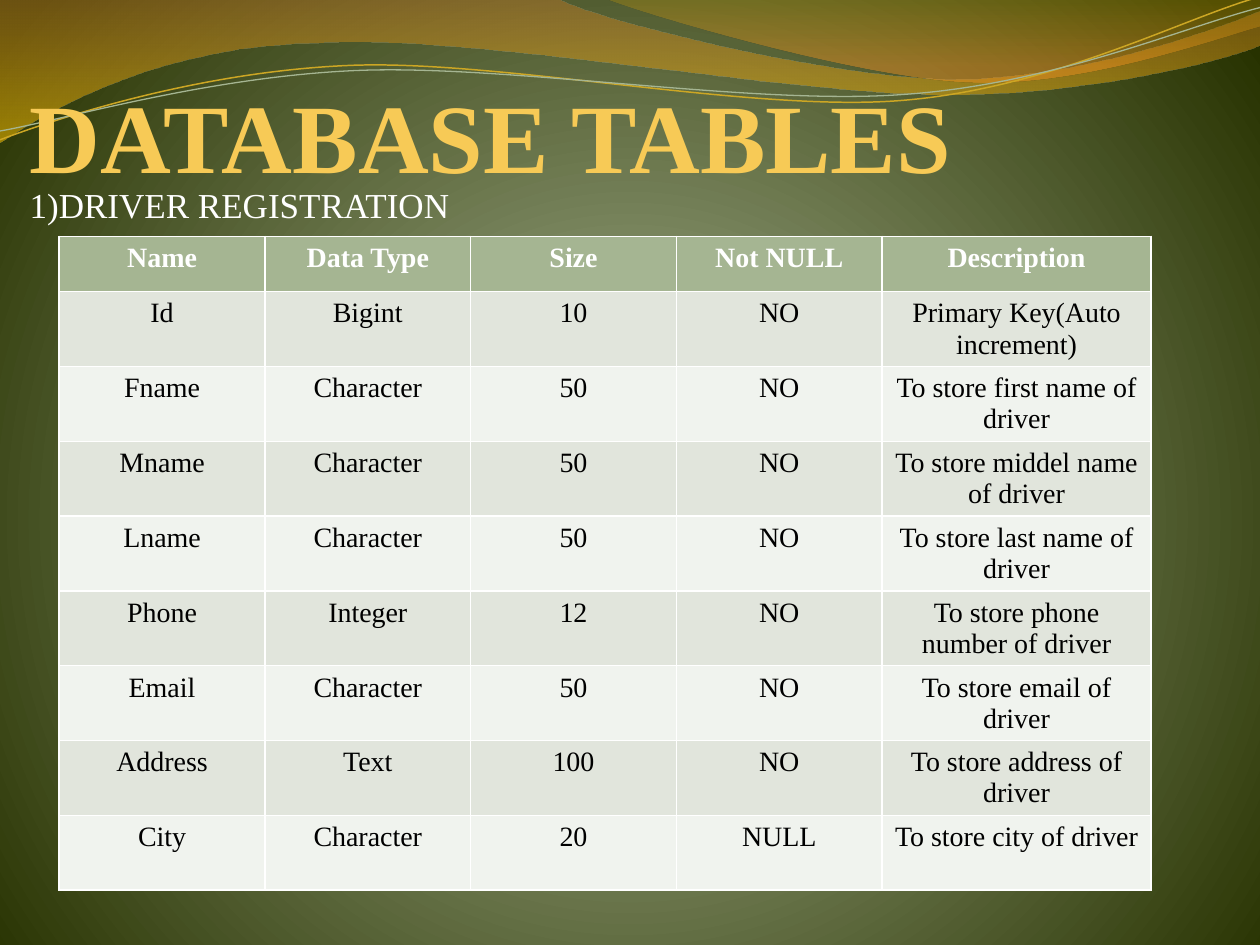
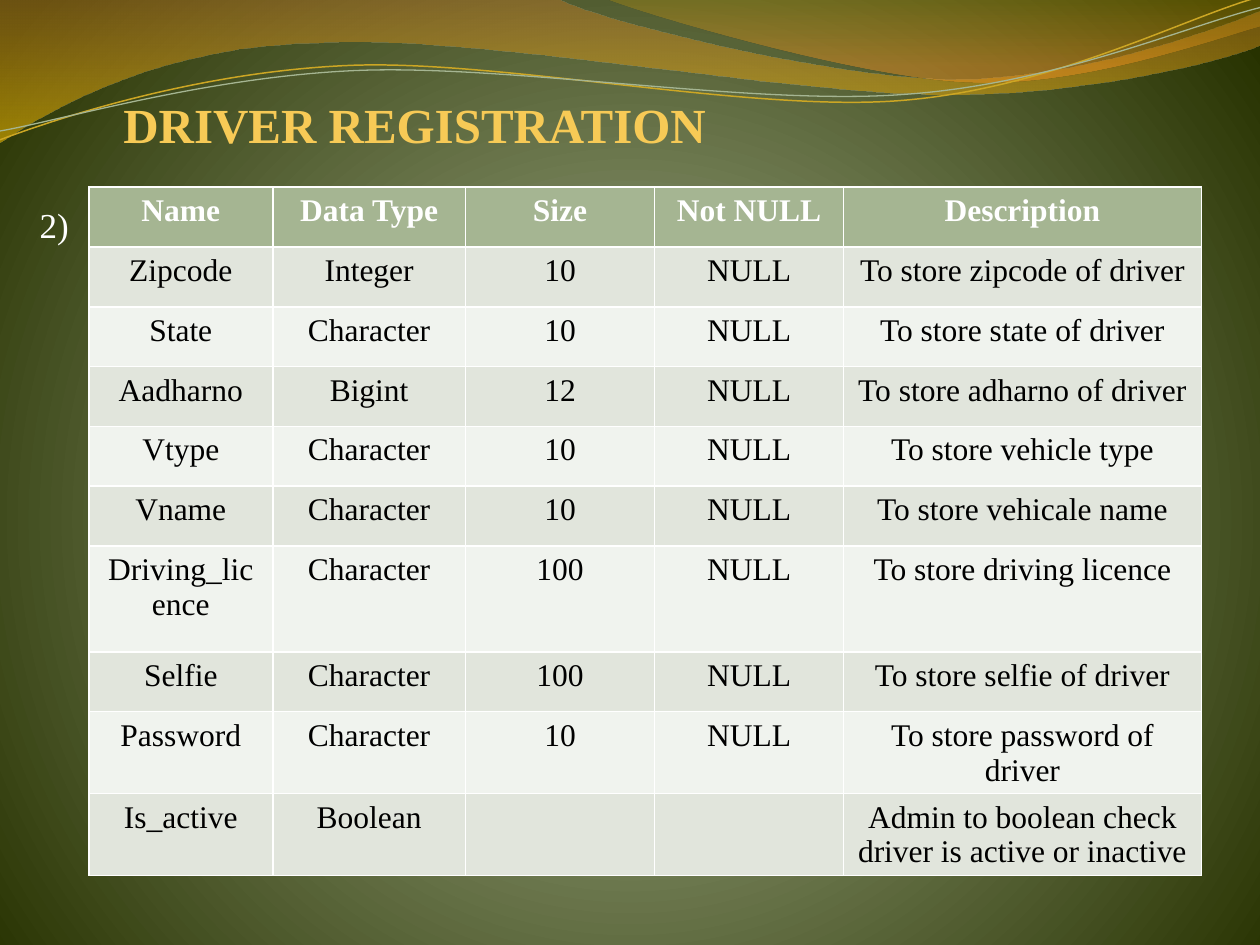
import lxml.etree
import pptx
import pptx.dml.color
import pptx.enum.text
import pptx.oxml
import pptx.oxml.ns
import pptx.util

# Shared look; every length is counted in cells of a 100 x 75 grid
GRID_COLS, GRID_ROWS = 100, 75
CELL = pptx.util.Inches(0.1)
FONT = "Times New Roman"
COLORS = {
    "title": "F7CA56", "white": "FFFFFF", "black": "000000",
    "header": "A5B592", "odd": "E1E5DC", "even": "F0F3EE",
    "gold_line": "CCA624", "sage_line": "A5B592",
}
BACKGROUND = [(0, "8F9B72", 100), (25, "86926C", 100), (100, "273200", 100)]
CIRCLE = ('<a:path path="circle"><a:fillToRect l="10000" t="110000" '
          'r="10000" b="100000"/></a:path>')
DOWNWARD = '<a:lin ang="5400000" scaled="0"/>'

# Waves: a start point, then lines (2 numbers) and Bezier curves (6 numbers)
BANDS = [
    ([(0, 0), (44.4, 0),
      (47.6, 1.7, 66.4, 6.3, 75.8, 6.3), (85.3, 6.3, 95.8, 2.6, 100, 0.9),
      (100, 3.6),
      (98.3, 4.4, 87, 7.6, 74.6, 7.5), (62.2, 7.5, 38.2, 2.8, 25.7, 3.4),
      (12.9, 3.6, 4.6, 8.3, 0, 11.3)],
     [(0, "C07A28", 45), (100, "F7BF00", 55)]),
    ([(48.2, 0),
      (50.9, 1.1, 68.2, 6.2, 76.9, 6.5), (85.6, 6.9, 96.1, 3.2, 100, 2.1),
      (100, 0)],
     [(0, "C09709", 30), (80, "F59320", 45)]),
]
STRANDS = [
    ([(0, 11.1), (4.8, 9.3, 15.8, 5.7, 27.7, 5.2),
      (39.5, 4.7, 59.3, 8.9, 71.3, 8), (83.3, 7.1, 93.8, 1.5, 99.8, -0.2)],
     "gold_line", 0.85),
    ([(0, 10.4), (4.7, 9.6, 16.4, 6.1, 28.3, 5.6),
      (40.3, 5.1, 59.7, 8.4, 71.7, 7.5), (83.6, 6.7, 94.1, 2.1, 100, 0.6)],
     "sage_line", 0.75),
]

# Table contents
HEADER = ("Name", "Data Type", "Size", "Not NULL", "Description")
DRIVER_FIELDS = [
    ("Id", "Bigint", "10", "NO", "Primary Key(Auto increment)"),
    ("Fname", "Character", "50", "NO", "To store first name of driver"),
    ("Mname", "Character", "50", "NO", "To store middel name of driver"),
    ("Lname", "Character", "50", "NO", "To store last name of driver"),
    ("Phone", "Integer", "12", "NO", "To store phone number of driver"),
    ("Email", "Character", "50", "NO", "To store email of driver"),
    ("Address", "Text", "100", "NO", "To store address of driver"),
    ("City", "Character", "20", "NULL", "To store city of driver"),
]
MORE_DRIVER_FIELDS = [
    ("Zipcode", "Integer", "10", "NULL", "To store zipcode of driver"),
    ("State", "Character", "10", "NULL", "To store state of driver"),
    ("Aadharno", "Bigint", "12", "NULL", "To store adharno of driver"),
    ("Vtype", "Character", "10", "NULL", "To store vehicle type"),
    ("Vname", "Character", "10", "NULL", "To store vehicale name"),
    ("Driving_licence", "Character", "100", "NULL", "To store driving licence"),
    ("Selfie", "Character", "100", "NULL", "To store selfie of driver"),
    ("Password", "Character", "10", "NULL", "To store password of driver"),
    ("Is_active", "Boolean", "", "",
     "Admin to boolean check driver is active or inactive"),
]


def grid(*cells):
    return [pptx.util.Emu(round(n * CELL)) for n in cells]


def rgb(name):
    return pptx.dml.color.RGBColor.from_string(COLORS[name])


def set_gradient(fill, parent, stops, direction):
    """Give parent a gradient whose stops are (position, colour, opacity)."""
    fill.gradient()
    stop_xml = "".join(
        f'<a:gs pos="{pos * 1000}"><a:srgbClr val="{color}">'
        f'<a:alpha val="{opacity * 1000}"/></a:srgbClr></a:gs>'
        for pos, color, opacity in stops)
    old = parent.find(pptx.oxml.ns.qn("a:gradFill"))
    new = pptx.oxml.parse_xml(
        f'<a:gradFill {pptx.oxml.ns.nsdecls("a")} rotWithShape="1">'
        f'<a:gsLst>{stop_xml}</a:gsLst>{direction}</a:gradFill>')
    parent.replace(old, new)


def bend(sp, outline):
    """Replace the straight segments that should be Bezier curves."""
    qn = pptx.oxml.ns.qn
    segments = list(sp._element.iter(qn("a:lnTo")))
    for segment, part in zip(segments, outline[1:]):
        if len(part) == 2:
            continue
        curve = lxml.etree.Element(qn("a:cubicBezTo"))
        for x, y in zip(grid(*part[::2]), grid(*part[1::2])):
            lxml.etree.SubElement(curve, qn("a:pt"),
                                  x=str(x - sp.left), y=str(y - sp.top))
        segment.getparent().replace(segment, curve)


def add_wave(slide, outline, closed):
    points = [grid(*part[-2:]) for part in outline]
    builder = slide.shapes.build_freeform(*points[0])
    builder.add_line_segments(points[1:], close=closed)
    sp = builder.convert_to_shape()
    sp.shadow.inherit = False
    bend(sp, outline)
    return sp


def add_waves(slide):
    """Draw the waves and hand them to the layout that all slides share."""
    waves = []
    for outline, stops in BANDS:
        sp = add_wave(slide, outline, True)
        set_gradient(sp.fill, sp.fill._xPr, stops, DOWNWARD)
        sp.line.fill.background()
        waves.append(sp)
    for outline, color, width in STRANDS:
        sp = add_wave(slide, outline, False)
        sp.fill.background()
        sp.line.color.rgb = rgb(color)
        sp.line.width = pptx.util.Pt(width)
        waves.append(sp)
    tree = slide.slide_layout.shapes._spTree
    for ph in list(slide.slide_layout.placeholders):
        tree.remove(ph._element)
    for sp in waves:
        tree.append(sp._element)


def write(tf, text, size, color="black", bold=False, align="LEFT"):
    p = tf.paragraphs[0]
    p.alignment = getattr(pptx.enum.text.PP_ALIGN, align)
    if text:
        r = p.add_run()
        r.text = text
        r.font.name = FONT
        r.font.size = pptx.util.Pt(size)
        r.font.bold = bold
        r.font.color.rgb = rgb(color)


def add_text(slide, box, text, margin=0, anchor="TOP", **style):
    tf = slide.shapes.add_textbox(*grid(*box)).text_frame
    tf.word_wrap = True
    tf.margin_left, tf.margin_right = grid(0, 0.2)
    tf.margin_top, tf.margin_bottom = grid(margin, margin)
    tf.vertical_anchor = getattr(pptx.enum.text.MSO_ANCHOR, anchor)
    write(tf, text, **style)


def add_title(slide, box, text, size, align="LEFT"):
    add_text(slide, box, text, anchor="BOTTOM", size=size, color="title",
             bold=True, align=align)


def add_subtitle(slide, box, text):
    add_text(slide, box, text, margin=0.5, size=20, color="white")


def add_field_table(slide, left, top, widths, heights, fields, size):
    """The default table style supplies the white cell borders."""
    rows = [HEADER] + fields
    frame = slide.shapes.add_table(
        len(rows), len(HEADER), *grid(left, top, sum(widths), sum(heights)))
    table = frame.table
    for column, width in zip(table.columns, grid(*widths)):
        column.width = width
    for row, height in zip(table.rows, grid(*heights)):
        row.height = height
    for i, texts in enumerate(rows):
        is_header = i == 0
        fill = "header" if is_header else ("even", "odd")[i % 2]
        for j, text in enumerate(texts):
            cell = table.cell(i, j)
            cell.margin_bottom = 0
            cell.fill.solid()
            cell.fill.fore_color.rgb = rgb(fill)
            write(cell.text_frame, text, size, bold=is_header, align="CENTER",
                  color="white" if is_header else "black")


def main():
    prs = pptx.Presentation()
    prs.slide_width, prs.slide_height = grid(GRID_COLS, GRID_ROWS)
    fill = prs.slide_master.background.fill
    set_gradient(fill, fill._xPr, BACKGROUND, CIRCLE)
    blank = prs.slide_layouts[6]

    # Driver registration, first part
    slide = prs.slides.add_slide(blank)
    add_waves(slide)
    add_title(slide, (2.35, 0, 80.4, 15.3), "DATABASE TABLES", 56)
    add_subtitle(slide, (2.35, 14.1, 85.9, 19.2), "1)DRIVER REGISTRATION")
    add_field_table(slide, 4.7, 18.75, [16.33] * 4 + [21.35],
                    [4.4] + [5.94] * 8, DRIVER_FIELDS, 16)

    # Driver registration, second part
    slide = prs.slides.add_slide(blank)
    add_title(slide, (0, 0, 56.2, 12.2), "DRIVER REGISTRATION", 28, "RIGHT")
    add_subtitle(slide, (3.15, 15.65, 85.9, 19.2), "2)")
    add_field_table(slide, 7.05, 14.85, [14.6, 15.3, 15, 15, 28.4],
                    [4.75] * 6 + [8.4] + [4.75] + [6.5] * 2,
                    MORE_DRIVER_FIELDS, 18)

    prs.save("out.pptx")


if __name__ == "__main__":
    main()
